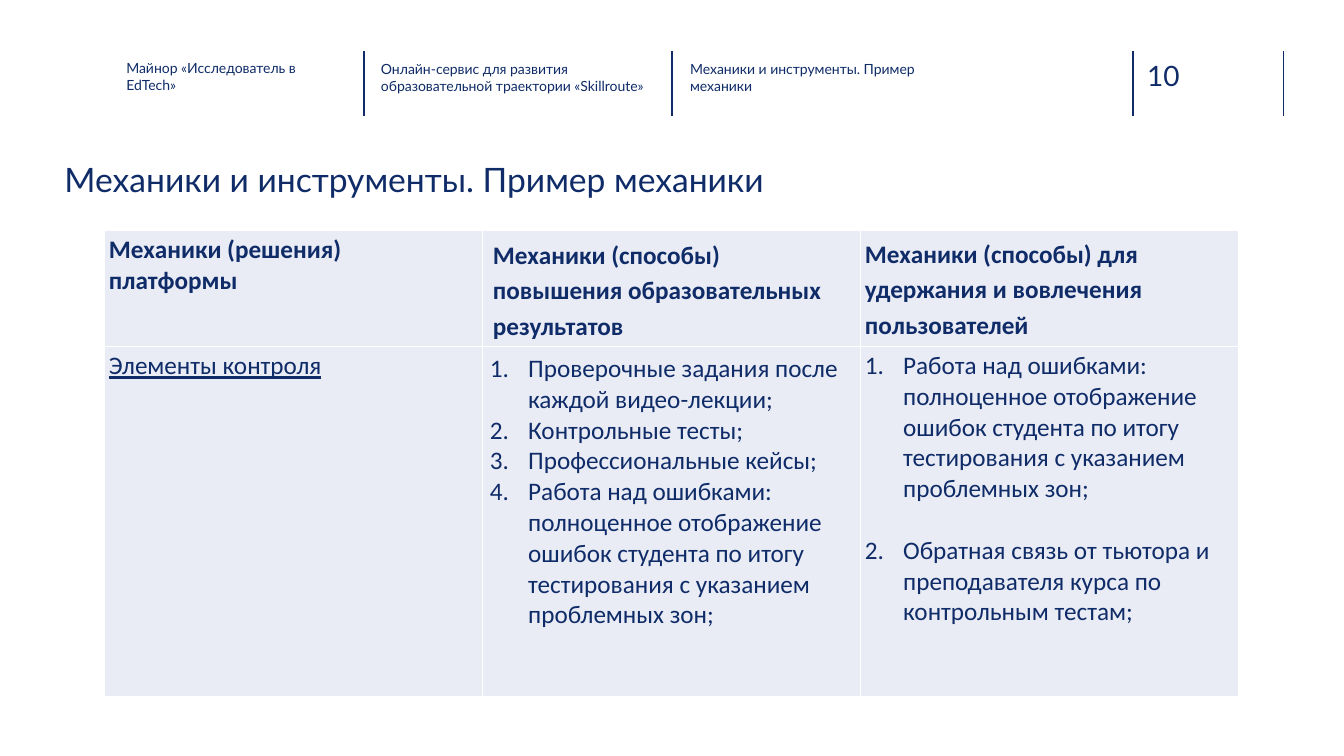
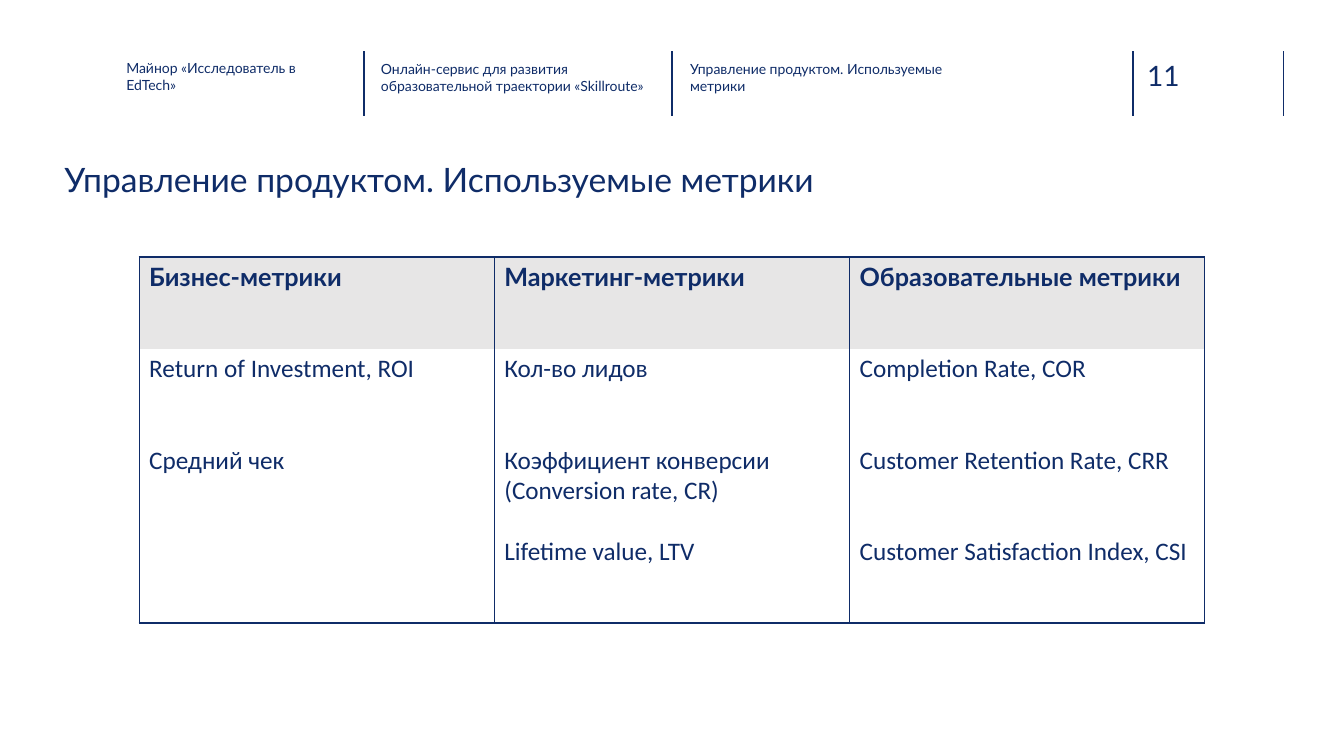
from dataclasses import dataclass

from pptx import Presentation
from pptx.dml.color import RGBColor
from pptx.enum.shapes import MSO_CONNECTOR as Connector
from pptx.enum.text import MSO_ANCHOR as Anchor
from pptx.oxml.xmlchemy import OxmlElement as Element
from pptx.util import Inches, Pt

WIDTH, HEIGHT = Inches(13.333), Inches(7.5)


# Theme: colours, fonts and type sizes
@dataclass(frozen=True)
class Theme:
    navy: str = "0F2C68"
    white: str = "FFFFFF"
    pale_blue: str = "E9EBF5"
    grey: str = "E7E6E6"
    heading_font: str = "Lato"
    table_font: str = "Calibri"
    title_size: int = 24
    number_size: int = 20
    table_size: int = 18
    caption_size: int = 10
    rule_width: float = 1
    blank_line: int = 22


THEME = Theme()
COURSE = "Майнор «Исследователь в EdTech»"
PROJECT = "Онлайн-сервис для развития образовательной траектории «Skillroute»"

# Header band, in percent of the slide's width and height
DIVIDERS = (27.08, 50, 84.3, 95.5)
BAND_TOP, BAND_BOTTOM = 6.8, 15.33


def across(percent):
    return round(WIDTH * percent / 100)


def down(percent):
    return round(HEIGHT * percent / 100)


# Text
def add_run(paragraph, text, size, font=THEME.heading_font, bold=False, underline=False):
    run = paragraph.add_run()
    run.text = text
    run.font.name = font
    run.font.size = Pt(size)
    run.font.bold = bold
    run.font.underline = underline
    run.font.color.rgb = RGBColor.from_string(THEME.navy)


def add_label(slide, text, size, left, top, width, height):
    box = slide.shapes.add_textbox(across(left), down(top), across(width), down(height))
    frame = box.text_frame
    frame.word_wrap = True
    frame.vertical_anchor = Anchor.TOP
    frame.margin_left = frame.margin_right = frame.margin_top = frame.margin_bottom = 0
    add_run(frame.paragraphs[0], text, size)


def number_paragraph(paragraph):
    properties = paragraph._p.get_or_add_pPr()
    properties.set("marL", str(Inches(0.38)))
    properties.set("indent", str(-Inches(0.38)))
    bullet = Element("a:buAutoNum")
    bullet.set("type", "arabicPeriod")
    properties.append(bullet)


# Shared header band and title
def add_divider(slide, position):
    x = across(position)
    line = slide.shapes.add_connector(
        Connector.STRAIGHT, x, down(BAND_TOP), x, down(BAND_BOTTOM))
    line.line.color.rgb = RGBColor.from_string(THEME.navy)
    line.line.width = Pt(THEME.rule_width)
    line._element.spPr.append(Element("a:effectLst"))


def add_framed_slide(presentation, title, number):
    slide = presentation.slides.add_slide(presentation.slide_layouts[6])
    for position in DIVIDERS:
        add_divider(slide, position)
    add_label(slide, str(number), THEME.number_size, 85.35, 7.7, 5.5, 4.6)
    add_label(slide, title, THEME.title_size, 4.8, 21.05, 58, 11.3)
    captions = ((COURSE, 9.4, 7.85, 15.6), (PROJECT, 28.35, 8, 20.25), (title, 51.35, 8, 20.25))
    for text, left, top, width in captions:
        add_label(slide, text, THEME.caption_size, left, top, width, 6)
    return slide


# Tables
def add_plain_table(slide, left, top, width, row_heights, columns=3):
    frame = slide.shapes.add_table(
        len(row_heights), columns, across(left), down(top),
        across(width), down(sum(row_heights)))
    table = frame.table
    table.first_row = table.horz_banding = False
    for column in table.columns:
        column.width = across(width / columns)
    for row, height in zip(table.rows, row_heights):
        row.height = down(height)
    return table


def set_borders(cell, colour, visible="LRTB"):
    properties = cell._tc.get_or_add_tcPr()
    for side in "LRTB":
        line = Element(f"a:ln{side}")
        line.set("w", str(Pt(THEME.rule_width)))
        if side in visible:
            fill = Element("a:solidFill")
            value = Element("a:srgbClr")
            value.set("val", colour)
            fill.append(value)
        else:
            fill = Element("a:noFill")
        line.append(fill)
        properties.append(line)


def set_fill(cell, colour=None):
    if colour is None:
        cell.fill.background()
    else:
        cell.fill.solid()
        cell.fill.fore_color.rgb = RGBColor.from_string(colour)


def set_margins(cell, inset):
    side = Inches(inset)
    cell.margin_left = cell.margin_right = cell.margin_top = cell.margin_bottom = side


def write_cell(cell, texts, numbered=False, spacing=None, gap=0, **style):
    frame = cell.text_frame
    for index, text in enumerate(texts):
        paragraph = frame.add_paragraph() if index else frame.paragraphs[0]
        if spacing:
            paragraph.line_spacing = spacing
        if index and gap:
            paragraph.space_before = Pt(gap)
        if numbered:
            number_paragraph(paragraph)
        add_run(paragraph, text, THEME.table_size, **style)


# Slides
def add_mechanics_slide(presentation):
    slide = add_framed_slide(presentation, "Механики и инструменты. Пример механики", 10)
    table = add_plain_table(slide, 7.8, 30.53, 84.38, (15.33, 46.27))
    review = ("Работа над ошибками: полноценное отображение ошибок студента "
              "по итогу тестирования с указанием проблемных зон;")
    header = {"bold": True}
    wide_header = {"bold": True, "spacing": 1.15}
    # Each cell: paragraphs, inset in inches (None keeps the default), style
    cells = (
        (
            (["Механики (решения)", "платформы"], 0.04, header),
            (["Механики (способы) повышения образовательных результатов"], None, wide_header),
            (["Механики (способы) для удержания и вовлечения пользователей"], 0.04, wide_header),
        ),
        (
            (["Элементы контроля"], 0.04, {"underline": True}),
            (["Проверочные задания после каждой видео-лекции;", "Контрольные тесты;",
              "Профессиональные кейсы;", review], 0.07, {"numbered": True}),
            ([review, "Обратная связь от тьютора и преподавателя курса по контрольным тестам;"],
             0.04, {"numbered": True, "gap": THEME.blank_line}),
        ),
    )
    for row, contents in zip(table.rows, cells):
        for cell, (texts, inset, style) in zip(row.cells, contents):
            set_borders(cell, THEME.white)
            set_fill(cell, THEME.pale_blue)
            if inset is not None:
                set_margins(cell, inset)
            write_cell(cell, texts, font=THEME.table_font, **style)


def add_metrics_slide(presentation):
    slide = add_framed_slide(presentation, "Управление продуктом. Используемые метрики", 11)
    metrics = (
        ("Бизнес-метрики", "Маркетинг-метрики", "Образовательные метрики"),
        ("Return of Investment, ROI", "Кол-во лидов", "Completion Rate, COR"),
        ("Средний чек", "Коэффициент конверсии (Conversion rate, CR)",
         "Customer Retention Rate, CRR"),
        ("", "Lifetime value, LTV", "Customer Satisfaction Index, CSI"),
    )
    table = add_plain_table(slide, 10.35, 34, 79.3, [12.1] * len(metrics))
    last = len(metrics) - 1
    for index, (row, texts) in enumerate(zip(table.rows, metrics)):
        is_header = index == 0
        edges = "LR" + {0: "T", last: "B"}.get(index, "")
        for cell, text in zip(row.cells, texts):
            set_borders(cell, THEME.navy, edges)
            set_fill(cell, THEME.grey if is_header else None)
            if text:
                font = THEME.heading_font if is_header else THEME.table_font
                write_cell(cell, [text], font=font, bold=is_header)


def main():
    presentation = Presentation()
    presentation.slide_width, presentation.slide_height = WIDTH, HEIGHT
    add_mechanics_slide(presentation)
    add_metrics_slide(presentation)
    presentation.save("out.pptx")


if __name__ == "__main__":
    main()
